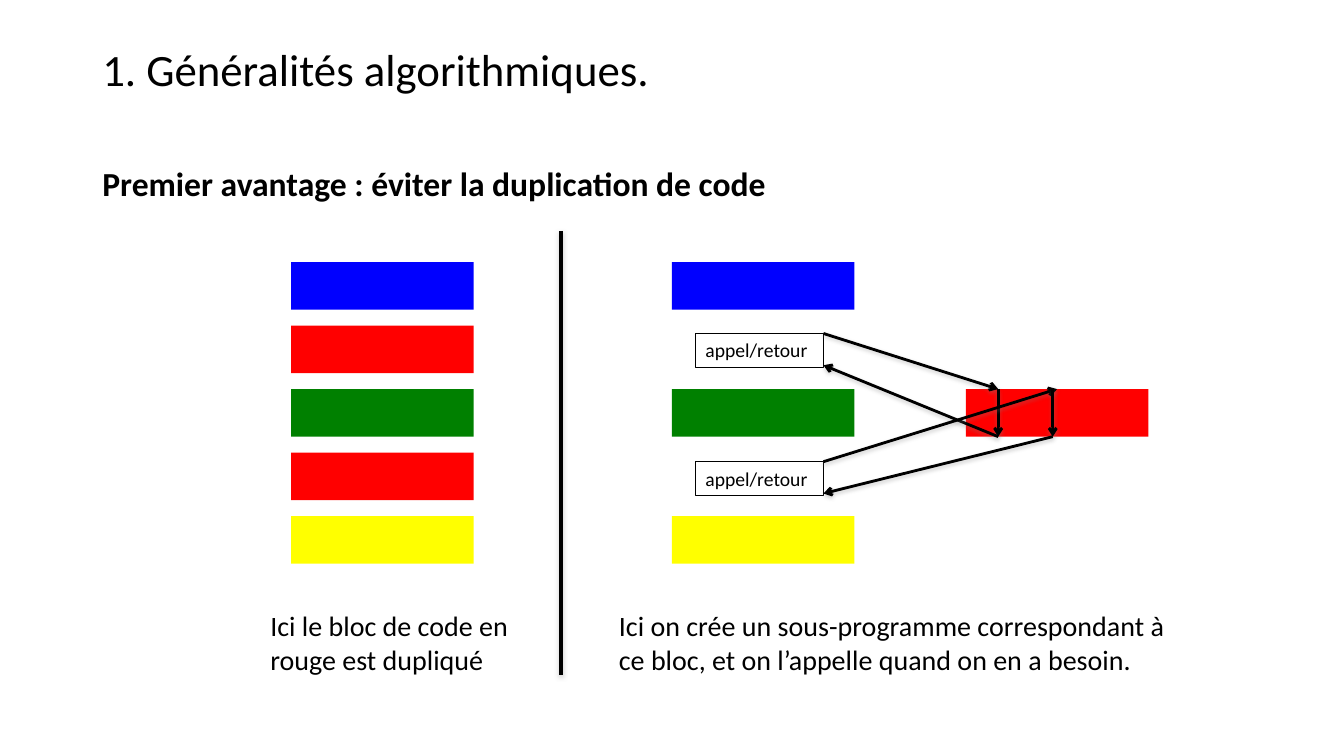
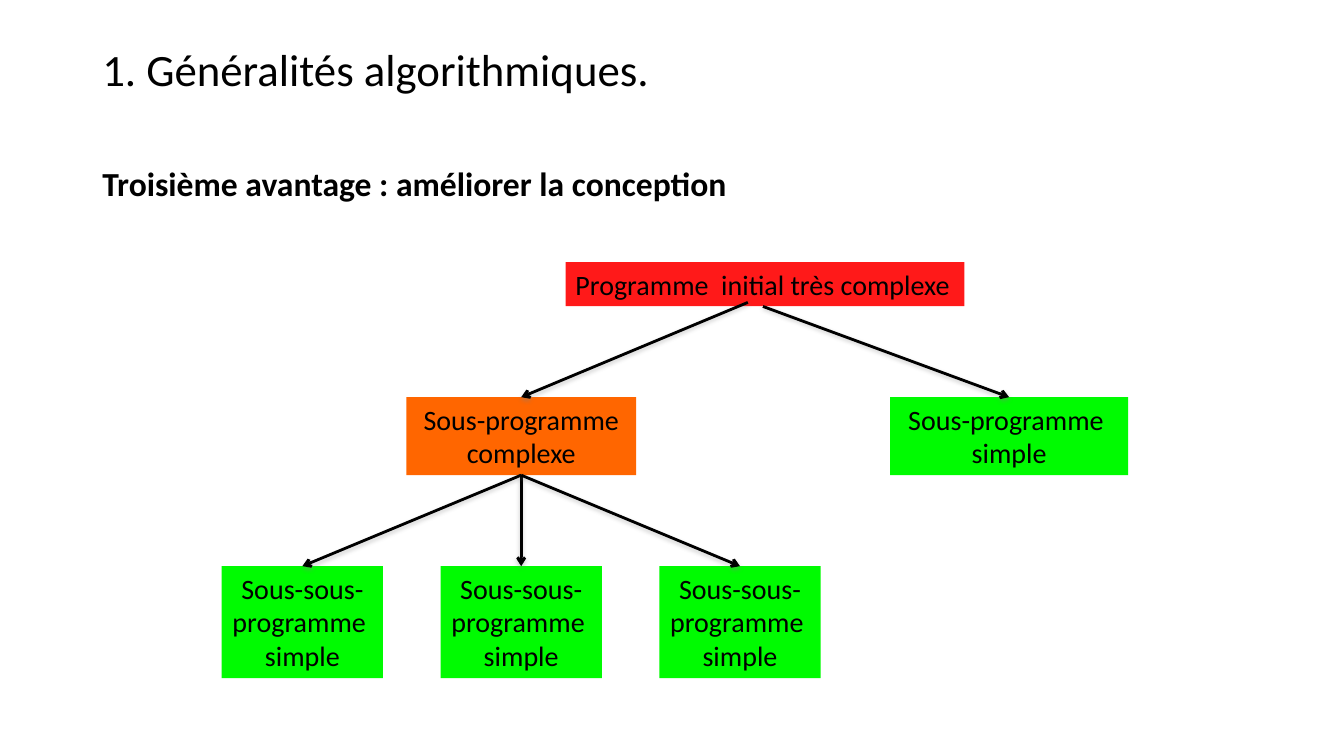
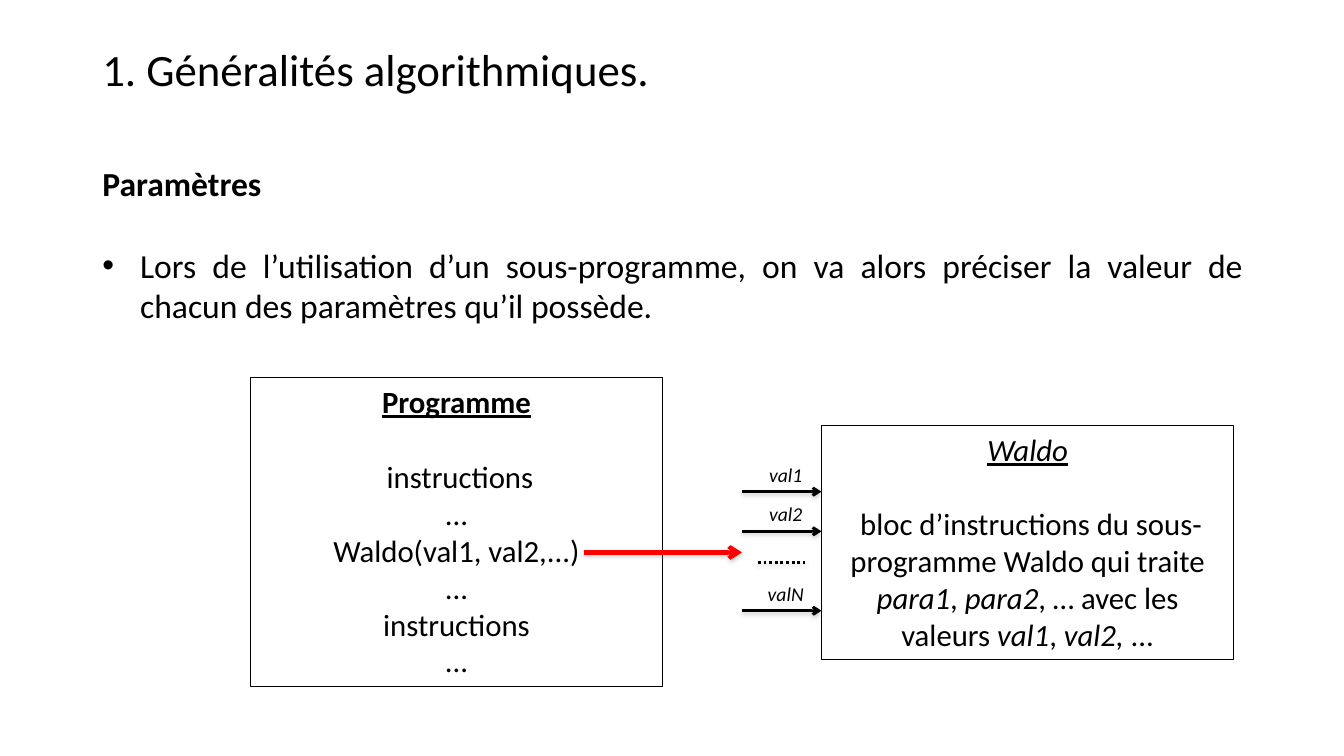
from pptx import Presentation
from pptx.dml.color import RGBColor
from pptx.enum.dml import MSO_LINE
from pptx.enum.shapes import MSO_CONNECTOR as CONN, MSO_SHAPE as SHAPE
from pptx.enum.text import MSO_ANCHOR as ANCHOR, PP_ALIGN as ALIGN
from pptx.oxml.ns import qn
from pptx.util import Pt
from lxml.etree import SubElement

COLORS = {
    "black": "000000", "shadow": "808080", "blue": "0000FF", "red": "FF0000",
    "green": "008000", "yellow": "FFFF00", "orange": "FF6600", "lime": "00FB01",
}
FONT = "Calibri"
TITLE = "1. Généralités algorithmiques."
BOLD, ITALIC, PLAIN = {"bold": True}, {"italic": True}, {}
CENTER = {"alignment": ALIGN.CENTER}

DUPLICATED = ["blue", "red", "green", "red", "yellow"]
FACTORED = ["blue", None, "green", None, "yellow"]
CALL = "appel/retour"
CAPTIONS = [
    ("Ici le bloc de code en rouge est dupliqué", 186, 199),
    ("Ici on crée un sous-programme correspondant à ce bloc, "
     "et on l’appelle quand on en a besoin.", 435, 408),
]

TREE = [
    ("Programme  initial très complexe", "red", (404, 187.2, 285, 31.5)),
    ("Sous-programme complexe", "orange", (290.2, 283.7, 164.2, 55.7)),
    ("Sous-programme  simple", "lime", (635.8, 283.7, 170, 55.7)),
]
LEAF = "Sous-sous-programme  simple"
LEAF_XS = [158.4, 314.7, 471]

PARAMETERS = ("Lors de l’utilisation d’un sous-programme, on va alors préciser "
              "la valeur de chacun des paramètres qu’il possède.")
PROGRAM = [" instructions", "...", "Waldo(val1, val2,...)", "...", "instructions", "..."]
WALDO = [
    (" bloc d’instructions du sous-programme Waldo qui traite ", PLAIN),
    ("para1", ITALIC), (", ", PLAIN), ("para2", ITALIC),
    (", … avec les valeurs ", PLAIN),
    ("val1", ITALIC), (", ", PLAIN), ("val2, ", ITALIC), ("...", PLAIN),
]
VALUES = [("val1", 0), ("val2", 1), ("valN", 3)]

prs = Presentation()
prs.slide_width, prs.slide_height = Pt(960), Pt(540)


def rgb(name):
    return RGBColor.from_string(COLORS[name])


def apply(target, fmt):
    for key, value in fmt.items():
        setattr(target, key, value)


def para(runs, **fmt):
    return ([(runs, PLAIN)] if isinstance(runs, str) else runs), fmt


def write(sp, paras, size, anchor=ANCHOR.TOP):
    tf = sp.text_frame
    apply(tf, {"word_wrap": True, "vertical_anchor": anchor})
    for i, (runs, fmt) in enumerate(paras):
        p = tf.add_paragraph() if i else tf.paragraphs[0]
        apply(p, {"alignment": ALIGN.LEFT, **fmt})
        for text, run_fmt in runs:
            r = p.add_run()
            r.text = text
            apply(r.font, {"name": FONT, "size": Pt(size), **run_fmt})
            r.font.color.rgb = rgb("black")
    return tf


def text(s, box, paras, size, anchor=ANCHOR.TOP):
    return write(s.shapes.add_textbox(*map(Pt, box)), paras, size, anchor)


def rect(s, box, fill=None, paras=(), size=20):
    sp = s.shapes.add_shape(SHAPE.RECTANGLE, *map(Pt, box))
    sp.shadow.inherit = False
    if fill:
        sp.fill.solid()
        sp.fill.fore_color.rgb = rgb(fill)
        sp.line.fill.background()
    else:
        sp.fill.background()
        sp.line.color.rgb = rgb("black")
        sp.line.width = Pt(0.75)
    if paras:
        write(sp, paras, size)
    return sp


def line(s, start, end, width=2, color="black", arrow=True, dash=None):
    c = s.shapes.add_connector(CONN.STRAIGHT, *map(Pt, (*start, *end)))
    c.line.color.rgb = rgb(color)
    c.line.width = Pt(width)
    if dash:
        c.line.dash_style = dash
    if arrow:
        SubElement(c.line._get_or_add_ln(), qn("a:tailEnd"), type="arrow")
    effects = SubElement(c._element.spPr, qn("a:effectLst"))
    shadow = SubElement(effects, qn("a:outerShdw"), blurRad=str(Pt(3.1)),
                        dist=str(Pt(1.6)), dir="5400000", rotWithShape="0")
    shade = SubElement(shadow, qn("a:srgbClr"), val=COLORS["shadow"])
    SubElement(shade, qn("a:alpha"), val="38000")


def page(heading, *body):
    s = prs.slides.add_slide(prs.slide_layouts[6])
    text(s, (66, 28.8, 828, 45.4), [para(TITLE, line_spacing=0.9)], 32, ANCHOR.MIDDLE)
    tf = text(s, (66, 113, 829, 124 if body else 36),
              [para([(heading, BOLD)]), *body], 24)
    return s, tf


def duplication():
    s, _ = page("Premier avantage : éviter la duplication de code")
    top, pitch, width, height = 187.2, 45.36, 130.4, 34
    for x, blocks in ((208, DUPLICATED), (480, FACTORED)):
        for i, fill in enumerate(blocks):
            if fill:
                rect(s, (x, top + i * pitch, width, height), fill)
    sub_top = top + 2 * pitch
    sub_bottom = sub_top + height
    rect(s, (690, sub_top, width, height), "red")
    line(s, (401, 165), (401, 482), 3, arrow=False)
    call_x, call_w, call_h = 496.8, 91.4, 24.2
    right = call_x + call_w
    for y, entry, leave in ((238.2, 713, 713), (329.8, 755, 752)):
        rect(s, (call_x, y, call_w, call_h), None, [para(CALL)], 14)
        line(s, (right, y), (entry, sub_top))
        line(s, (leave, sub_top), (leave, sub_bottom))
        line(s, (leave, sub_bottom), (right, y + call_h - 1.5))
    for caption, x, w in CAPTIONS:
        text(s, (x, 431.3, w, 55.7), [para(caption)], 20)


def conception():
    s, _ = page("Troisième avantage : améliorer la conception")
    leaf_y, leaf_w, leaf_h = 404.4, 115.2, 80
    leaves = [(LEAF, "lime", (x, leaf_y, leaf_w, leaf_h)) for x in LEAF_XS]
    for i, (label, fill, box) in enumerate(TREE + leaves):
        sp = rect(s, box, fill, [para(label, **(CENTER if i else PLAIN))])
        if i == 0:
            color = sp.fill._xPr.find(qn("a:solidFill"))[0]
            SubElement(color, qn("a:alpha"), val="90000")
    (_, _, (x, y, w, h)), (_, _, simple) = TREE[1:]
    middle = x + w / 2
    line(s, (534.2, 216), (middle, y))
    line(s, (545, 218.9), (simple[0] + simple[2] / 2, y))
    for leaf_x in LEAF_XS:
        line(s, (middle, y + h), (leaf_x + leaf_w / 2, leaf_y))


def parameters():
    s, tf = page("Paramètres", para(PARAMETERS, alignment=ALIGN.JUSTIFY,
                                    space_before=Pt(29.3)))
    pPr = tf.paragraphs[1]._p.get_or_add_pPr()
    pPr.set("marL", str(Pt(27)))
    pPr.set("indent", str(-Pt(27)))
    SubElement(pPr, qn("a:buFont"), typeface="Arial")
    SubElement(pPr, qn("a:buChar"), char="•")

    def block(box, name, style, body):
        head = para([(name, {"underline": True, **style})],
                    space_after=Pt(26.85), **CENTER)
        rect(s, box, None, [head, *body], 22)

    block((178.8, 270, 294.5, 220.3), "Programme", BOLD,
          [para(t, **CENTER) for t in PROGRAM])
    block((586.8, 304, 294.5, 167), "Waldo", ITALIC, [para(WALDO, **CENTER)])
    left, right, top, pitch = 530, 586.8, 351.2, 28.35
    for value, i in VALUES:
        y = top + i * pitch
        line(s, (left, y), (right, y))
        text(s, (left, y - 24.4, 62.6, 24.2), [para([(value, ITALIC)], **CENTER)], 14)
    line(s, (541.4, 401.8), (575.3, 401.8), arrow=False, dash=MSO_LINE.ROUND_DOT)
    line(s, (416.9, 394.6), (left, 394.6), 3, "red")


def main():
    duplication()
    conception()
    parameters()
    prs.save("out.pptx")


if __name__ == "__main__":
    main()
